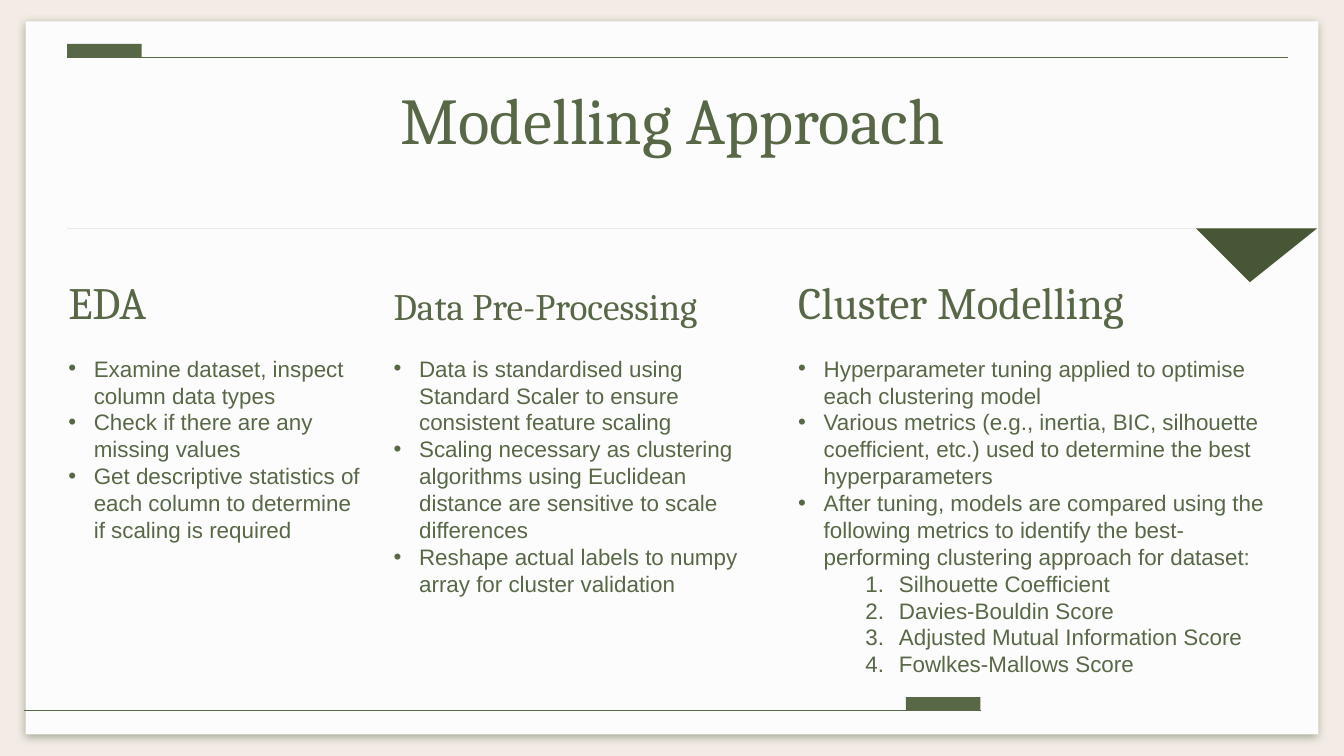
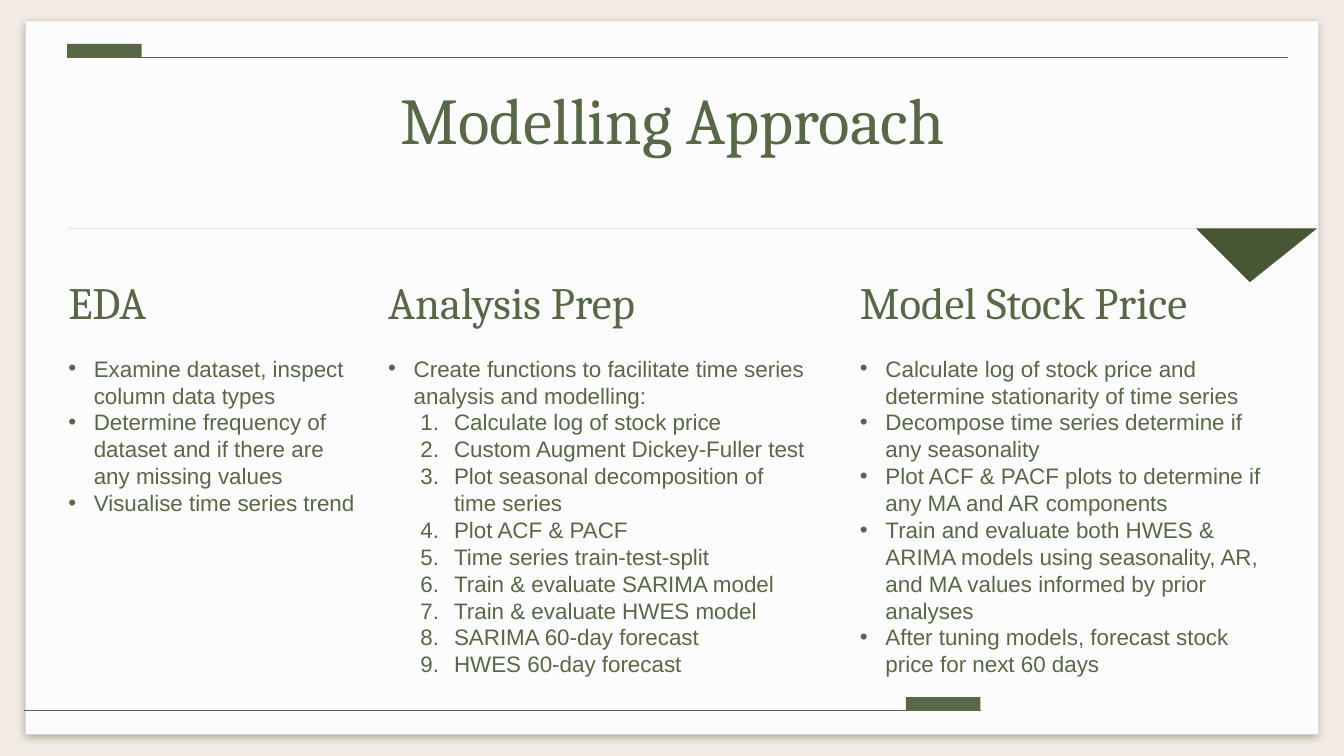
import pptx
import pptx.util
import pptx.dml.color
import pptx.enum.shapes
import pptx.enum.text
from dataclasses import dataclass
from lxml import etree


@dataclass(frozen=True)
class Theme:
    backdrop: str = "F3ECE6"
    paper: str = "FCFCFC"
    green: str = "586847"
    dark_green: str = "475735"
    serif: str = "Cambria"
    sans: str = "Arial"
    title: int = 35
    heading: int = 24
    small_heading: int = 20
    body: int = 12
    body_pitch: float = 14.4


theme = Theme()
rgb = pptx.dml.color.RGBColor.from_string
Pt = pptx.util.Pt
anchors = pptx.enum.text.MSO_ANCHOR
rectangle = pptx.enum.shapes.MSO_SHAPE.RECTANGLE
qn = pptx.oxml.ns.qn

deck = pptx.Presentation()
deck.slide_width = pptx.util.Inches(10)
deck.slide_height = deck.slide_width * 9 // 16

# Square grid: one unit is a hundredth of the slide's width
unit = deck.slide_width / 100
margin = 4.1
heading_row, heading_height = 20.2, 5.2
body_row = heading_row + heading_height
bullet_indent, number_hang = 1.9, 2.5


def paint(shape, color):
    shape.fill.solid()
    shape.fill.fore_color.rgb = rgb(color)
    shape.line.fill.background()
    shape.shadow.inherit = False


def add_text(slide, left, top, width, height, anchor=anchors.TOP):
    box = slide.shapes.add_textbox(*(round(v * unit) for v in (left, top, width, height)))
    frame = box.text_frame
    frame.word_wrap = True
    frame.vertical_anchor = anchor
    frame.margin_left = frame.margin_right = round(unit)
    frame.margin_top = frame.margin_bottom = round(unit)
    return frame


# Columns: heading, heading size, left, heading width, body width, body height,
# bullets, numbered items, indent of the numbers
slides = [
    [
        ("EDA", theme.heading, margin, 21.3, 23.7, 18,
         ["Examine dataset, inspect column data types",
          "Check if there are any missing values",
          "Get descriptive statistics of each column to determine if scaling is required"],
         [], 0),
        ("Data Pre-Processing", theme.small_heading, 28.3, 29.5, 29.5, 25.9,
         ["Data is standardised using Standard Scaler to ensure consistent feature scaling",
          "Scaling necessary as clustering algorithms using Euclidean distance are "
          "sensitive to scale differences",
          "Reshape actual labels to numpy array for cluster validation"],
         [], 0),
        ("Cluster Modelling", theme.heading, 58.4, 30.9, 37.5, 27.3,
         ["Hyperparameter tuning applied to optimise each clustering model",
          "Various metrics (e.g., inertia, BIC, silhouette coefficient, etc.) used to "
          "determine the best hyperparameters",
          "After tuning, models are compared using the following metrics to identify "
          "the best-performing clustering approach for dataset:"],
         ["Silhouette Coefficient", "Davies-Bouldin Score",
          "Adjusted Mutual Information Score", "Fowlkes-Mallows Score"], 7.5),
    ],
    [
        ("EDA", theme.heading, margin, 21.3, 23.7, 18,
         ["Examine dataset, inspect column data types",
          "Determine frequency of dataset and if there are any missing values",
          "Visualise time series trend"],
         [], 0),
        ("Analysis Prep", theme.heading, 27.9, 35.1, 33.4, 25.9,
         ["Create functions to facilitate time series analysis and modelling:"],
         ["Calculate log of stock price", "Custom Augment Dickey-Fuller test",
          "Plot seasonal decomposition of time series", "Plot ACF & PACF",
          "Time series train-test-split", "Train & evaluate SARIMA model",
          "Train & evaluate HWES model", "SARIMA 60-day forecast",
          "HWES 60-day forecast"], 4.9),
        ("Model Stock Price", theme.heading, 63, 30.9, 33.4, 26,
         ["Calculate log of stock price and determine stationarity of time series",
          "Decompose time series determine if any seasonality",
          "Plot ACF & PACF plots to determine if any MA and AR components",
          "Train and evaluate both HWES & ARIMA models using seasonality, AR, and MA "
          "values informed by prior analyses",
          "After tuning models, forecast stock price for next 60 days"],
         [], 0),
    ],
]

for columns in slides:
    slide = deck.slides.add_slide(deck.slide_layouts[6])
    slide.background.fill.solid()
    slide.background.fill.fore_color.rgb = rgb(theme.backdrop)

    # Paper sheet with a soft shadow
    sheet = slide.shapes.add_shape(
        rectangle, *(round(v * unit) for v in (1.9, 1.6, 96.2, 53.05)))
    paint(sheet, theme.paper)
    effects = sheet._element.spPr.find(qn("a:effectLst"))
    shadow = etree.SubElement(effects, qn("a:outerShdw"), blurRad=str(Pt(4.5)),
                              dist=str(Pt(1.5)), dir="5400000", algn="bl", rotWithShape="0")
    tint = etree.SubElement(shadow, qn("a:srgbClr"), val=theme.green)
    etree.SubElement(tint, qn("a:alpha"), val="50000")

    # Thin edge lines, each with a tab
    for start, end, line_row, tab_left in ((73, 1.8, 52.88, 67.4), (5, 95.8, 4.26, 5)):
        edge = slide.shapes.add_connector(
            pptx.enum.shapes.MSO_CONNECTOR.STRAIGHT,
            *(round(v * unit) for v in (start, line_row, end, line_row)))
        edge.line.color.rgb = rgb(theme.green)
        edge.line.width = Pt(0.75)
        etree.SubElement(edge._element.spPr, qn("a:effectLst"))
        tab = slide.shapes.add_shape(
            rectangle, *(round(v * unit) for v in (tab_left, line_row - 1, 5.55, 1)))
        paint(tab, theme.green)

    # Title
    title = add_text(slide, 7.9, 4.9, 84.3, 6.3).paragraphs[0]
    title.text = "Modelling Approach"
    title.alignment = pptx.enum.text.PP_ALIGN.CENTER
    title.font.name, title.font.size = theme.serif, Pt(theme.title)
    title.font.color.rgb = rgb(theme.green)

    # Heavy rule with a pointer under its right end
    for outline, color in (
        ([(89.3, 17.4), (93.4, 20.7), (97.6, 17.4)], theme.dark_green),
        ([(4.9, 17.12), (4.9, 17.48), (97.5, 17.48), (97.5, 17.12)], theme.green),
    ):
        builder = slide.shapes.build_freeform(*outline[0], scale=unit)
        builder.add_line_segments(outline[1:], close=True)
        paint(builder.convert_to_shape(), color)

    # Columns
    for (heading_text, heading_size, left, heading_width, body_width, body_height,
         bullets, numbered, number_indent) in columns:
        heading = add_text(slide, left, heading_row, heading_width, heading_height,
                           anchors.BOTTOM).paragraphs[0]
        heading.text = heading_text
        heading.font.name, heading.font.size = theme.serif, Pt(heading_size)
        heading.font.color.rgb = rgb(theme.green)

        body = add_text(slide, left, body_row, body_width, body_height)
        items = [(text, False) for text in bullets] + [(text, True) for text in numbered]
        for index, (text, is_numbered) in enumerate(items):
            item = body.add_paragraph() if index else body.paragraphs[0]
            item.text = text
            item.line_spacing = Pt(theme.body_pitch)
            indent = number_indent if is_numbered else bullet_indent
            hang = number_hang if is_numbered else bullet_indent
            props = item._p.get_or_add_pPr()
            props.set("marL", str(round(indent * unit)))
            props.set("indent", str(-round(hang * unit)))
            marker_color = etree.SubElement(props, qn("a:buClr"))
            etree.SubElement(marker_color, qn("a:srgbClr"), val=theme.green)
            etree.SubElement(props, qn("a:buFont"), typeface=theme.sans)
            if is_numbered:
                etree.SubElement(props, qn("a:buAutoNum"), type="arabicPeriod")
            else:
                etree.SubElement(props, qn("a:buChar"), char="•")
            item.font.name, item.font.size = theme.sans, Pt(theme.body)
            item.font.color.rgb = rgb(theme.green)

deck.save("out.pptx")
